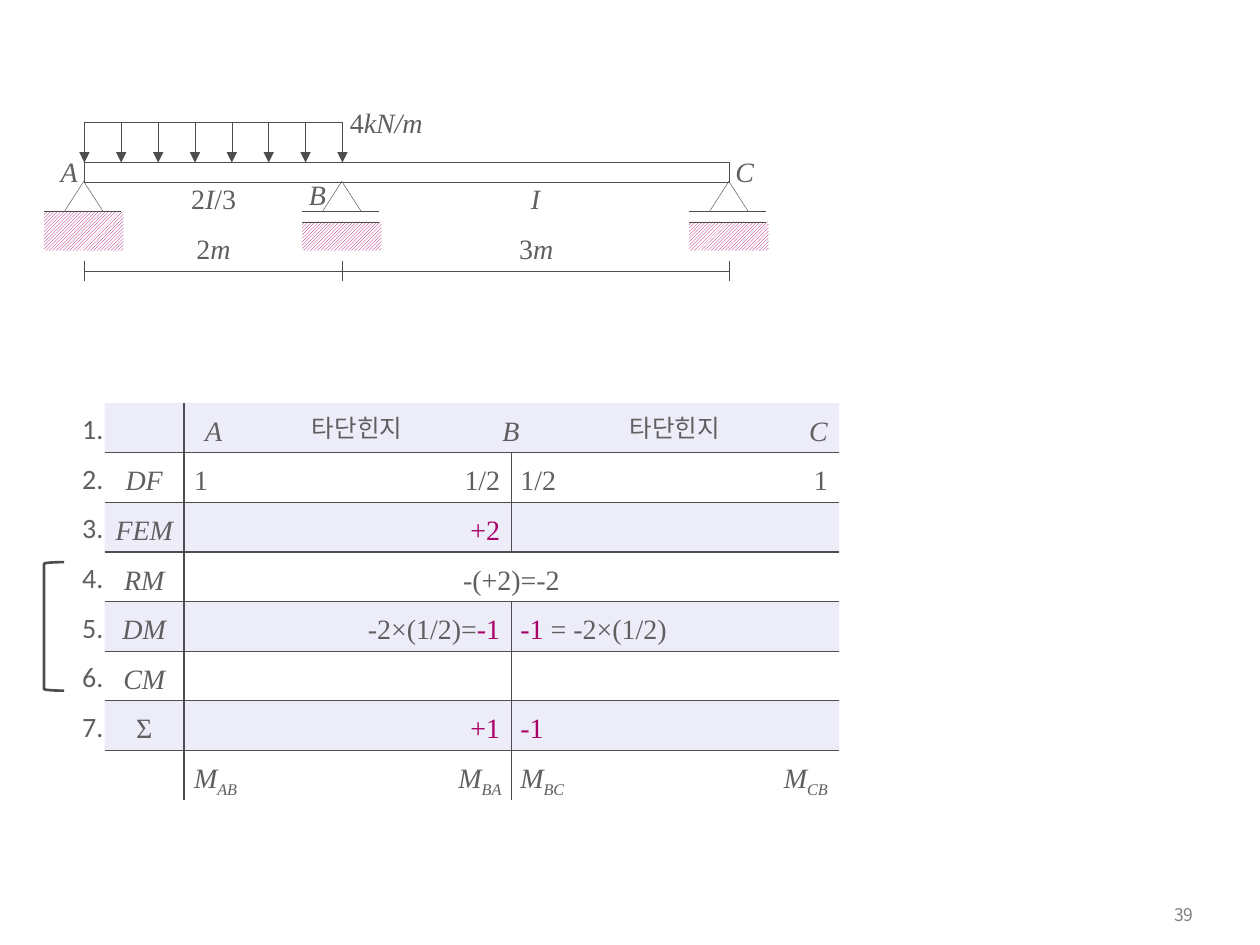
import pptx
import pptx.util
import pptx.dml.color
import pptx.enum.dml
import pptx.enum.shapes
import pptx.enum.text
import pptx.oxml
import pptx.oxml.ns
from lxml import etree

Inches = pptx.util.Inches
SHAPE = pptx.enum.shapes.MSO_SHAPE
ANCHOR = pptx.enum.text.MSO_ANCHOR
LEFT, CENTER, RIGHT = (pptx.enum.text.PP_ALIGN.LEFT, pptx.enum.text.PP_ALIGN.CENTER,
                       pptx.enum.text.PP_ALIGN.RIGHT)
LINE, GRAY, PINK, BAND = "4D4D4D", "5F5F5F", "A90165", "D2D2F4"
SERIF, SANS, KOREAN = "Times New Roman", "Calibri", "Noto Sans CJK KR"
ITALIC = {"italic": True}
SUBSCRIPT = {"italic": True, "baseline": -25}
ACCENT = {"color": PINK}
HANGUL = {"font": KOREAN, "size": 14}


def rgb(color):
    return pptx.dml.color.RGBColor.from_string(color)


def add_child(parent, tag, **attributes):
    return etree.SubElement(parent, pptx.oxml.ns.qn(tag), **attributes)


def write_span(para, text, font=SERIF, size=16, color=GRAY, italic=False, baseline=0):
    span = para.add_run()
    span.text = text
    span.font.name = font
    span.font.size = pptx.util.Pt(size)
    span.font.italic = italic
    span.font.color.rgb = rgb(color)
    properties = span.font._element
    if font == KOREAN:
        add_child(properties, "a:ea", typeface=font)
    if baseline:
        properties.set("baseline", str(baseline * 1000))


def add_text(shapes, spans, left, top, width, height, align=CENTER,
             anchor=ANCHOR.TOP, wrap=True, inset=0):
    box = shapes.add_textbox(Inches(left), Inches(top), Inches(width), Inches(height))
    frame = box.text_frame
    frame.word_wrap = wrap
    frame.vertical_anchor = anchor
    frame.margin_left = frame.margin_right = Inches(inset)
    frame.margin_top = frame.margin_bottom = Inches(inset / 2)
    para = frame.paragraphs[0]
    para.alignment = align
    for text, style in spans:
        write_span(para, text, **style)


def add_figure(shapes, kind, left, top, width, height, line=None):
    figure = shapes.add_shape(kind, Inches(left), Inches(top), Inches(width), Inches(height))
    figure.shadow.inherit = False
    figure.fill.background()
    if line:
        figure.line.color.rgb = rgb(LINE)
        figure.line.width = pptx.util.Pt(line)
    else:
        figure.line.fill.background()
    return figure


def add_line(shapes, x1, y1, x2, y2, weight=0.25, arrow=False):
    line = shapes.add_connector(pptx.enum.shapes.MSO_CONNECTOR.STRAIGHT,
                                Inches(x1), Inches(y1), Inches(x2), Inches(y2))
    line.line.color.rgb = rgb(LINE)
    line.line.width = pptx.util.Pt(weight)
    if arrow:
        add_child(line.line._get_or_add_ln(), "a:tailEnd", type="triangle")
    add_child(line._element.spPr, "a:effectLst")


def add_support(shapes, x, top, roller):
    ground = top + 0.24
    gap = 0.08 if roller else 0
    hatch = add_figure(shapes, SHAPE.RECTANGLE, x - 0.32, ground + gap, 0.63, 0.31 - gap)
    hatch.fill.patterned()
    hatch.fill.pattern = pptx.enum.dml.MSO_PATTERN.LIGHT_UPWARD_DIAGONAL
    hatch.fill.fore_color.rgb = rgb(PINK)
    hatch.fill.back_color.rgb = rgb("FFFFFF")
    add_line(shapes, x - 0.32, ground, x + 0.29, ground)
    add_figure(shapes, SHAPE.ISOSCELES_TRIANGLE, x - 0.16, top, 0.31, 0.24, line=0.25)
    if roller:
        add_line(shapes, x - 0.32, ground + gap, x + 0.29, ground + gap)


def add_beam(page, left, top, width, height):
    shapes = page.shapes.add_group_shape().shapes
    middle, right = left + width * 0.4, left + width
    add_figure(shapes, SHAPE.RECTANGLE, left, top, width, height, line=0.75)
    for x, roller in ((right, True), (left, False), (middle, True)):
        add_support(shapes, x, top + 0.15, roller)

    load_top, arrows = top - 0.32, 8
    for index in range(arrows):
        x = left + (middle - left) * index / (arrows - 1)
        add_line(shapes, x, load_top, x, top, arrow=True)
    add_line(shapes, middle, load_top, left, load_top)

    dimension = top + 0.86
    add_line(shapes, left, dimension, right, dimension)
    for x in (left, middle, right):
        add_line(shapes, x, dimension - 0.08, x, dimension + 0.08)

    labels = [
        ([("4", {}), ("kN/m", ITALIC)], 2.05, -0.45, 0.69, 0.29),
        ([("2", {}), ("m", ITALIC)], 0.71, 0.55, 0.63, 0.31),
        ([("3", {}), ("m", ITALIC)], 3.31, 0.55, 0.55, 0.31),
        ([("2", {}), ("I", ITALIC), ("/3", {})], 0.79, 0.15, 0.47, 0.31),
        ([("I", ITALIC)], 3.46, 0.15, 0.24, 0.31),
        ([("A", ITALIC)], -0.24, -0.06, 0.24, 0.29),
        ([("B", ITALIC)], 1.73, 0.12, 0.24, 0.29),
        ([("C", ITALIC)], 5.12, -0.06, 0.24, 0.29),
    ]
    for spans, x, y, label_width, label_height in labels:
        add_text(shapes, spans, left + x, top + y, label_width, label_height)


def add_moment_grid(page, left, top, width, height):
    shapes = page.shapes.add_group_shape().shapes
    rows, label_width, split = 8, 0.63, left + 3.23
    edges = [top + height * index / rows for index in range(rows + 1)]

    for row in (0, 2, 4, 6):
        band = add_figure(shapes, SHAPE.RECTANGLE, left, edges[row], width, height / rows)
        band.fill.solid()
        band.fill.fore_color.rgb = rgb(BAND)
        tint = band._element.spPr.find(".//" + pptx.oxml.ns.qn("a:srgbClr"))
        add_child(tint, "a:alpha", val="40000")
    for edge in edges[1:-1]:
        add_line(shapes, left, edge, left + width, edge, weight=0.75)
    for x, first, last in ((left + label_width, 0, 8), (split, 1, 3), (split, 4, 8)):
        add_line(shapes, x, edges[first], x, edges[last], weight=0.75)

    for row in range(rows - 1):
        add_text(shapes, [(f"{row + 1}.", {"font": SANS})], left - 0.32, edges[row] + 0.08,
                 0.31, 0.24, align=RIGHT, anchor=ANCHOR.MIDDLE)
    add_figure(shapes, SHAPE.LEFT_BRACKET, left - 0.48, edges[3] + 0.08, 0.16, 1.02, line=1.5)

    labels = [("DF", ITALIC), ("FEM", ITALIC), ("RM", ITALIC), ("DM", ITALIC),
              ("CM", ITALIC), ("Ʃ", {})]
    cells = [(row, 0, label_width, CENTER, [label]) for row, label in enumerate(labels, 1)]
    cells += [
        (0, 0.71, 0.31, CENTER, [("A", ITALIC)]),
        (0, 1.57, 0.87, CENTER, [("타단힌지", HANGUL)]),
        (0, 3.07, 0.31, CENTER, [("B", ITALIC)]),
        (0, 4.09, 0.87, CENTER, [("타단힌지", HANGUL)]),
        (0, 5.51, 0.31, CENTER, [("C", ITALIC)]),
        (1, 0.71, 0.31, LEFT, [("1", {})]),
        (1, 2.67, 0.47, RIGHT, [("1/2", {})]),
        (1, 3.3, 0.55, LEFT, [("1/2", {})]),
        (1, 5.27, 0.47, RIGHT, [("1", {})]),
        (2, 2.83, 0.31, RIGHT, [("+2", ACCENT)]),
        (3, 2.6, 1.26, CENTER, [("-(+2)=-2", {})]),
        (4, 1.57, 1.57, RIGHT, [("-2×(1/2)=", {}), ("-1", ACCENT)]),
        (4, 3.3, 1.65, LEFT, [("-1 ", ACCENT), ("= -2×(1/2)", {})]),
        (6, 2.04, 1.1, RIGHT, [("+1", ACCENT)]),
        (6, 3.3, 1.18, LEFT, [("-1", ACCENT)]),
    ]
    moments = (("AB", 0.71, LEFT), ("BA", 2.52, RIGHT), ("BC", 3.3, LEFT), ("CB", 5.11, RIGHT))
    cells += [(7, x, 0.63, align, [("M", ITALIC), (ends, SUBSCRIPT)])
              for ends, x, align in moments]
    for row, x, cell_width, align, spans in cells:
        add_text(shapes, spans, left + x, edges[row] + 0.08, cell_width, 0.27,
                 align=align, wrap=False)


def add_page_number(page, left, top, width, height):
    add_text(page.shapes, [("39", {"font": KOREAN, "size": 10, "color": "808080"})],
             left, top, width, height, align=RIGHT, anchor=ANCHOR.MIDDLE, inset=0.1)


def main():
    deck = pptx.Presentation()
    deck.slide_width, deck.slide_height = Inches(10), Inches(7.5)
    page = deck.slides.add_slide(deck.slide_layouts[6])
    add_page_number(page, 8.86, 7.09, 0.71, 0.33)
    add_beam(page, 0.67, 1.29, 5.12, 0.16)
    add_moment_grid(page, 0.83, 3.2, 5.83, 3.15)
    deck.save("out.pptx")


if __name__ == "__main__":
    main()
